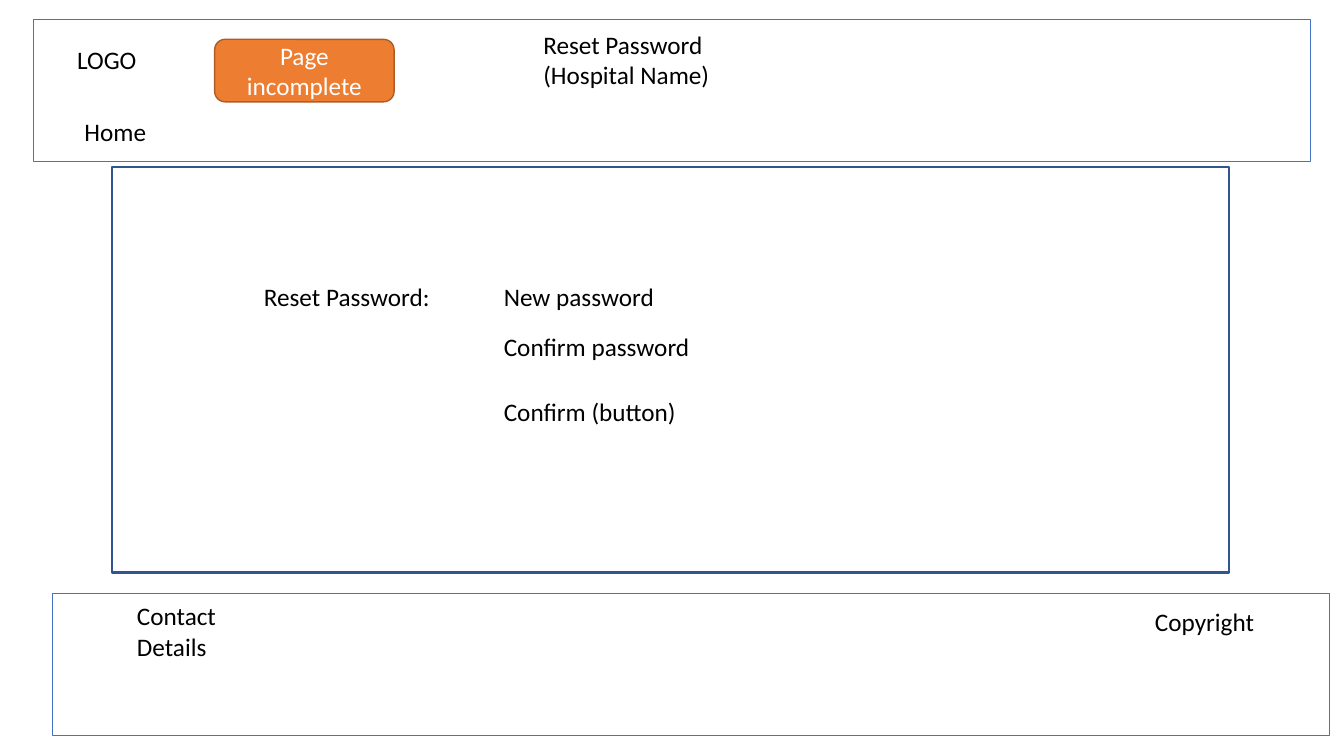
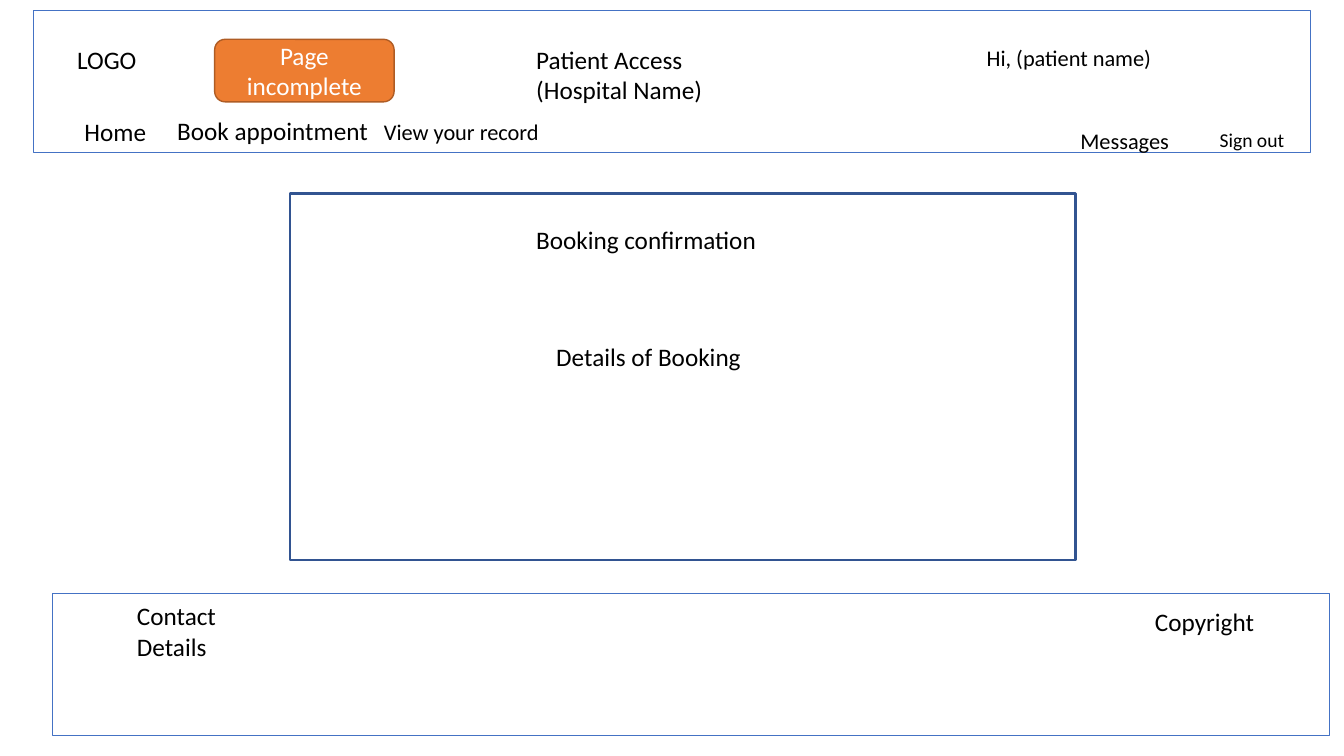
from dataclasses import dataclass

from pptx import Presentation
from pptx.dml.color import RGBColor
from pptx.enum.shapes import MSO_SHAPE
from pptx.enum.text import MSO_ANCHOR, MSO_AUTO_SIZE, PP_ALIGN
from pptx.util import Inches, Pt

COLOURS = {
    "band": "4472C4",
    "panel": "325491",
    "badge": "ED7D31",
    "badge_line": "AF5C24",
    "text": "000000",
    "badge_text": "FFFFFF",
}
FONT = "Calibri"
TITLE_ONLY = 5

# Grid of 40 columns by 30 rows
SLIDE_WIDTH, SLIDE_HEIGHT = Inches(13.33), Inches(7.5)
COLUMN, ROW = SLIDE_WIDTH / 40, SLIDE_HEIGHT / 30
BAND_WIDTH, BAND_HEIGHT = 38, 5.64
FIELD_COLUMN, FIELD_WIDTH = 14.7, 7.11


@dataclass(frozen=True)
class Box:
    column: float
    row: float
    columns: float
    rows: float

    def lengths(self) -> tuple[int, int, int, int]:
        return (round(self.column * COLUMN), round(self.row * ROW),
                round(self.columns * COLUMN), round(self.rows * ROW))


@dataclass(frozen=True)
class Label:
    text: str
    column: float
    row: float
    columns: float
    size: int = 18
    lines: int = 1

    def box(self) -> Box:
        """Room for the lines at 1.2 spacing plus the default insets."""
        line_rows = Pt(self.size) * 1.2 / ROW
        return Box(self.column, self.row, self.columns,
                   0.4 + self.lines * line_rows)


@dataclass(frozen=True)
class Page:
    title: Label
    header_row: float
    panel: Box
    labels: tuple[Label, ...]


FOOTER = Box(1.56, 23.56, BAND_WIDTH, BAND_HEIGHT)
BADGE = Box(6.39, 1.56, 5.34, 2.48)
SHARED_LABELS = (
    Label("LOGO", 2, 1.56, 5.58),
    Label("Home", 2.22, 4.4, 4.17),
    Label("Contact Details", 3.78, 23.64, 4.17, lines=2),
    Label("Copyright", 34.08, 23.88, 4.17),
)

PAGES = (
    Page(
        title=Label("Reset Password\n(Hospital Name)", 15.87, 0.96, 7.89, lines=2),
        header_row=0.76,
        panel=Box(3.33, 6.64, 33.24, 16.08),
        labels=(
            Label("Reset Password:", 7.56, 10.96, FIELD_WIDTH),
            Label("New password", FIELD_COLUMN, 10.96, FIELD_WIDTH),
            Label("Confirm password", FIELD_COLUMN, 12.96, FIELD_WIDTH),
            Label("Confirm (button)", FIELD_COLUMN, 15.52, FIELD_WIDTH),
        ),
    ),
    Page(
        title=Label("Patient Access\n(Hospital Name)", 15.66, 1.56, 7.17, lines=2),
        header_row=0.4,
        panel=Box(8.64, 7.68, 23.37, 14.56),
        labels=(
            Label("Hi, (patient name)", 29.07, 1.56, 9.39, size=16),
            Label("Book appointment", 4.98, 4.36, 6.6),
            Label("View your record", 11.13, 4.48, 5.82, size=16),
            Label("Messages", 31.86, 4.84, 4.17, size=16),
            Label("Sign out", 36, 4.88, 3.51, size=14),
            Label("Booking confirmation", 15.66, 8.72, 9.06),
            Label("Details of Booking", 16.26, 13.36, 7.44),
        ),
    ),
)


def colour(name: str) -> RGBColor:
    return RGBColor.from_string(COLOURS[name])


def write(shape, text: str, size: int, colour_name: str, alignment, anchor) -> None:
    frame = shape.text_frame
    frame.text = text
    frame.word_wrap = True
    frame.vertical_anchor = anchor
    for paragraph in frame.paragraphs:
        paragraph.alignment = alignment
        paragraph.font.name = FONT
        paragraph.font.size = Pt(size)
        paragraph.font.color.rgb = colour(colour_name)


def write_label(shape, label: Label) -> None:
    write(shape, label.text, label.size, "text", PP_ALIGN.LEFT, MSO_ANCHOR.TOP)
    shape.text_frame.auto_size = MSO_AUTO_SIZE.SHAPE_TO_FIT_TEXT


def add_outline(slide, box: Box, line: str, weight: float,
                kind=MSO_SHAPE.RECTANGLE):
    shape = slide.shapes.add_shape(kind, *box.lengths())
    shape.shadow.inherit = False
    shape.fill.background()
    shape.line.color.rgb = colour(line)
    shape.line.width = Pt(weight)
    return shape


def add_label(slide, label: Label) -> None:
    write_label(slide.shapes.add_textbox(*label.box().lengths()), label)


def place_title(slide, label: Label) -> None:
    title = slide.shapes.title
    title.left, title.top, title.width, title.height = label.box().lengths()
    write_label(title, label)


def add_badge(slide) -> None:
    badge = add_outline(slide, BADGE, "badge_line", 1, MSO_SHAPE.ROUNDED_RECTANGLE)
    badge.fill.solid()
    badge.fill.fore_color.rgb = colour("badge")
    write(badge, "Page incomplete", 18, "badge_text", PP_ALIGN.CENTER,
          MSO_ANCHOR.MIDDLE)


def add_page(presentation, page: Page) -> None:
    slide = presentation.slides.add_slide(presentation.slide_layouts[TITLE_ONLY])
    place_title(slide, page.title)

    # Header, footer and content panel
    add_outline(slide, Box(1, page.header_row, BAND_WIDTH, BAND_HEIGHT), "band", 0.75)
    add_outline(slide, FOOTER, "band", 0.75)
    add_outline(slide, page.panel, "panel", 1.5)

    # Wording and status badge
    for label in SHARED_LABELS + page.labels:
        add_label(slide, label)
    add_badge(slide)


def main() -> None:
    presentation = Presentation()
    presentation.slide_width = SLIDE_WIDTH
    presentation.slide_height = SLIDE_HEIGHT
    for page in PAGES:
        add_page(presentation, page)
    presentation.save("out.pptx")


if __name__ == "__main__":
    main()
